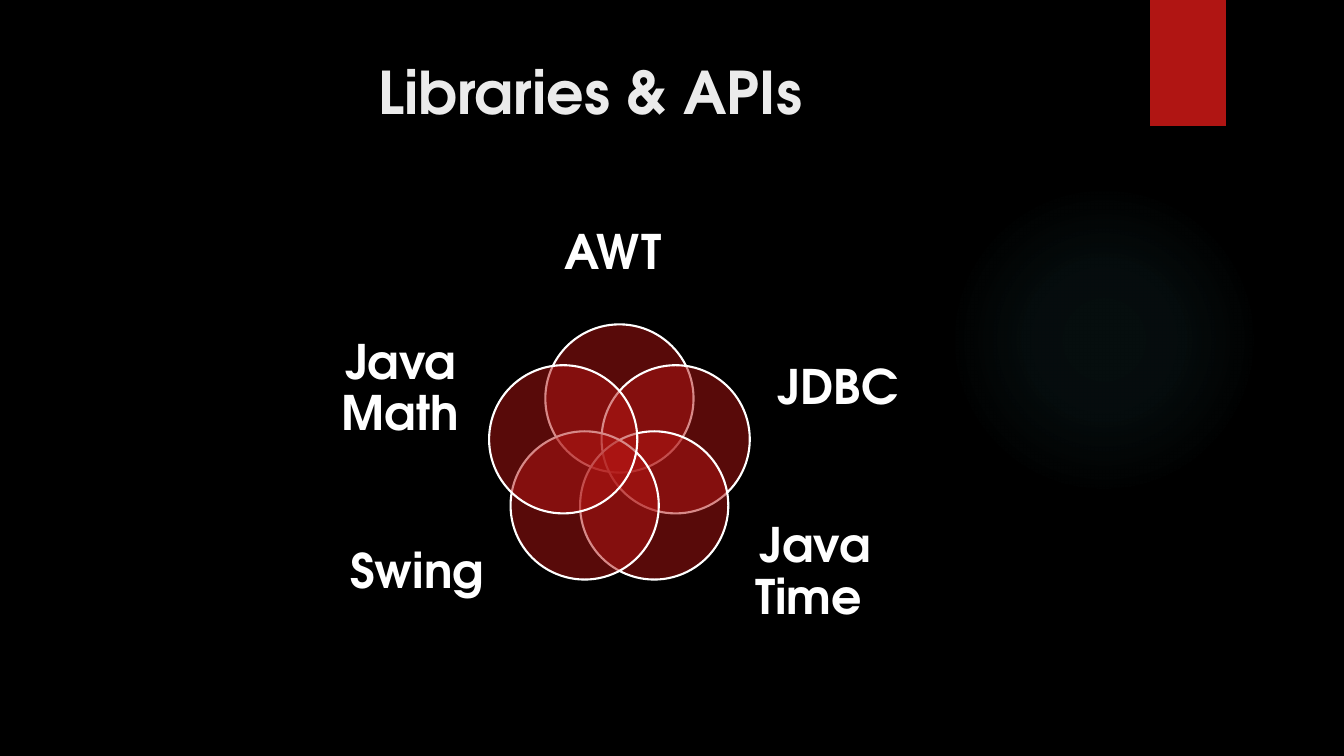
import math
from lxml import etree
from pptx import Presentation
from pptx import util as u
from pptx.dml.color import RGBColor
from pptx.enum import shapes, text
from pptx.oxml import ns

FONT = "TeX Gyre Adventor"
RED = "B01513"
WHITE = "FFFFFF"

deck = Presentation()
deck.slide_width = u.Inches(13.333)
deck.slide_height = u.Inches(7.5)
page = deck.slides.add_slide(deck.slide_layouts[6])
column = deck.slide_width / 100
row = deck.slide_height / 100


def paint(fill, colour, alpha=100):
    fill.solid()
    fill.fore_color.rgb = RGBColor.from_string(colour)
    if alpha < 100:
        for tint in fill._xPr.iter(ns.qn("a:srgbClr")):
            etree.SubElement(tint, ns.qn("a:alpha")).set("val", str(alpha * 1000))


def write(words, left, top, width, height, size, colour, anchor, spacing):
    box = page.shapes.add_textbox(
        int(left * column), int(top * row), int(width * column), int(height * row))
    frame = box.text_frame
    frame.word_wrap = True
    frame.vertical_anchor = anchor
    para = frame.paragraphs[0]
    para.text = words
    para.alignment = text.PP_ALIGN.CENTER
    para.line_spacing = spacing
    para.font.name = FONT
    para.font.size = u.Pt(size)
    para.font.bold = True
    paint(para.font.fill, colour)
    return frame


paint(page.background.fill, "000000")

glow = page.shapes.add_shape(
    shapes.MSO_SHAPE.OVAL, int(70.58 * column), int(24.4 * row),
    int(23.1 * column), int(41.07 * row))
glow.shadow.inherit = False
glow.line.fill.background()
glow.fill.gradient()
gradient = glow.fill._xPr.find(ns.qn("a:gradFill"))
for part in list(gradient):
    gradient.remove(part)
stops = etree.SubElement(gradient, ns.qn("a:gsLst"))
for position, alpha in [(0, 7), (36, 6), (69, 0)]:
    stop = etree.SubElement(stops, ns.qn("a:gs"), pos=str(position * 1000))
    tint = etree.SubElement(stop, ns.qn("a:srgbClr"), val="50B9C1")
    etree.SubElement(tint, ns.qn("a:alpha"), val=str(alpha * 1000))
circle_path = etree.SubElement(gradient, ns.qn("a:path"), path="circle")
etree.SubElement(circle_path, ns.qn("a:fillToRect"),
                 l="50000", t="50000", r="50000", b="50000")

ribbon = page.shapes.add_shape(
    shapes.MSO_SHAPE.RECTANGLE, int(85.58 * column), 0,
    int(5.63 * column), int(16.67 * row))
ribbon.shadow.inherit = False
ribbon.line.fill.background()
paint(ribbon.fill, RED)

write("Libraries & APIs", 5.33, 6.67, 77.18, 20.4, 42, "EBEBEB",
      text.MSO_ANCHOR.TOP, 1.0)

middle_x, middle_y = 46.09 * column, 60.53 * row
orbit = 4.4 * column
diameter = 11.03 * column
label_width, label_height = 11.48, 14.27
labels = [
    ("AWT ", 0, 33.67),
    ("JDBC", 16.28, 51.53),
    ("Java Time ", 14.55, 75.8),
    ("Swing ", -14.55, 75.8),
    ("Java Math", -16.28, 51.53),
]
for index, (words, offset, label_y) in enumerate(labels):
    angle = math.tau * index / len(labels)
    circle = page.shapes.add_shape(
        shapes.MSO_SHAPE.OVAL,
        int(middle_x + orbit * math.sin(angle) - diameter / 2),
        int(middle_y - orbit * math.cos(angle) - diameter / 2),
        int(diameter), int(diameter))
    circle.shadow.inherit = False
    paint(circle.fill, RED, 50)
    paint(circle.line.fill, WHITE)
    circle.line.width = u.Pt(1.5)
    frame = write(words, 46.09 + offset - label_width / 2, label_y - label_height / 2,
                  label_width, label_height, 34, WHITE, text.MSO_ANCHOR.MIDDLE, 0.9)
    frame.margin_left = frame.margin_right = 0
    frame.margin_top = frame.margin_bottom = 0

deck.save("out.pptx")
